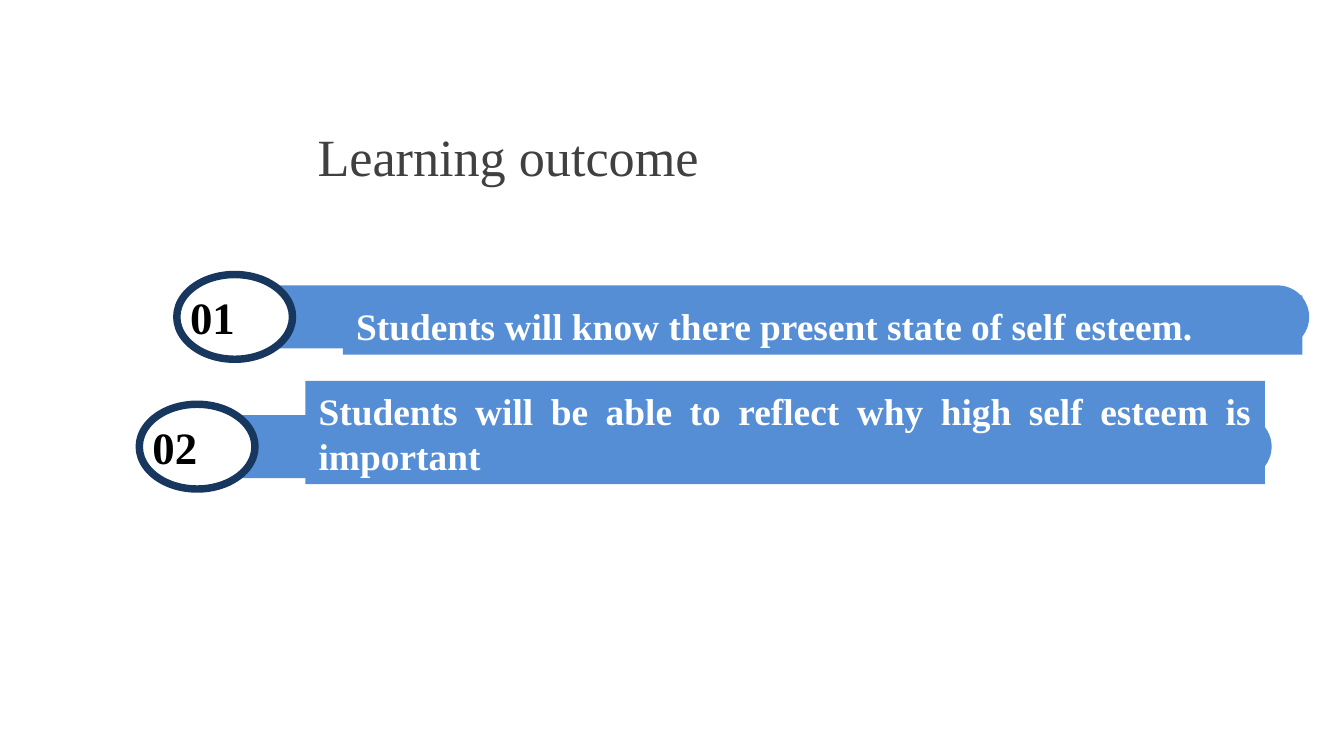
"""Build the learning outcome slide with two numbered banners."""
import dataclasses

import pptx
import pptx.dml.color
import pptx.enum.shapes
import pptx.enum.text
import pptx.util

Pt = pptx.util.Pt
Shape = pptx.enum.shapes.MSO_SHAPE
Align = pptx.enum.text.PP_ALIGN
Anchor = pptx.enum.text.MSO_ANCHOR


@dataclasses.dataclass(frozen=True)
class Theme:
    font: str = "Times New Roman"
    title_color: str = "404040"
    banner: str = "558ED5"
    ring: str = "17375E"
    white: str = "FFFFFF"
    black: str = "000000"
    title_size: int = 28
    number_size: int = 24
    message_size: int = 20


THEME = Theme()


def rgb(code):
    return pptx.dml.color.RGBColor.from_string(code)


def write(box, text, size, color, align, anchor, bold=False):
    frame = box.text_frame
    frame.text = text
    frame.word_wrap = True
    frame.vertical_anchor = anchor
    para = frame.paragraphs[0]
    para.alignment = align
    font = para.font
    font.name, font.size, font.bold = THEME.font, Pt(size), bold
    font.color.rgb = rgb(color)


def add_title(page, text):
    title = page.shapes.title
    title.left, title.top, title.width, title.height = Pt(133.2), Pt(60.5), Pt(278), Pt(45.4)
    write(title, text, THEME.title_size, THEME.title_color, Align.CENTER, Anchor.MIDDLE)


def add_filled(group, kind, left, top, width, height, color):
    shape = group.shapes.add_shape(kind, Pt(left), Pt(top), Pt(width), Pt(height))
    shape.shadow.inherit = False
    shape.fill.solid()
    shape.fill.fore_color.rgb = rgb(color)
    shape.line.fill.background()
    return shape


def add_bar(group, center_x, center_y, length, thickness):
    bar = add_filled(group, Shape.ROUND_2_SAME_RECTANGLE, center_x - thickness / 2,
                     center_y - length / 2, thickness, length, THEME.banner)
    bar.rotation = 90
    bar.adjustments[0], bar.adjustments[1] = 0.5, 0


def add_badge(group, center_x, center_y, number):
    width, height, label_height = 62, 45.4, 28.8
    ring = add_filled(group, Shape.OVAL, center_x - width / 2, center_y - height / 2,
                      width, height, THEME.white)
    ring.line.color.rgb = rgb(THEME.ring)
    ring.line.width = Pt(4)
    label = group.shapes.add_textbox(Pt(center_x - width / 2), Pt(center_y - label_height / 2),
                                     Pt(width), Pt(label_height))
    label.text_frame.margin_top = label.text_frame.margin_bottom = 0
    write(label, number, THEME.number_size, THEME.black, Align.JUSTIFY, Anchor.BOTTOM, True)


def add_message(group, left, bottom, height, text):
    box = add_filled(group, Shape.RECTANGLE, left, bottom - height, 514, height, THEME.banner)
    write(box, text, THEME.message_size, THEME.white, Align.JUSTIFY, Anchor.BOTTOM, True)


def add_outcome(page, center_x, center_y, number, text, height):
    group = page.shapes.add_group_shape()
    add_bar(group, center_x + 288, center_y, 575.3, 33.8)
    add_badge(group, center_x, center_y, number)
    add_message(group, center_x + 58, center_y + 20.2, height, text)


def main():
    deck = pptx.Presentation()
    deck.slide_width, deck.slide_height = Pt(720), Pt(405)
    page = deck.slides.add_slide(deck.slide_layouts[5])
    add_title(page, "Learning outcome")
    add_outcome(page, 105.6, 239.3, "02",
                "Students will be able to reflect why high self esteem is important", 55.4)
    add_outcome(page, 125.7, 169.8, "01",
                "Students will know there present state of self esteem.", 31.7)
    deck.save("out.pptx")


if __name__ == "__main__":
    main()
